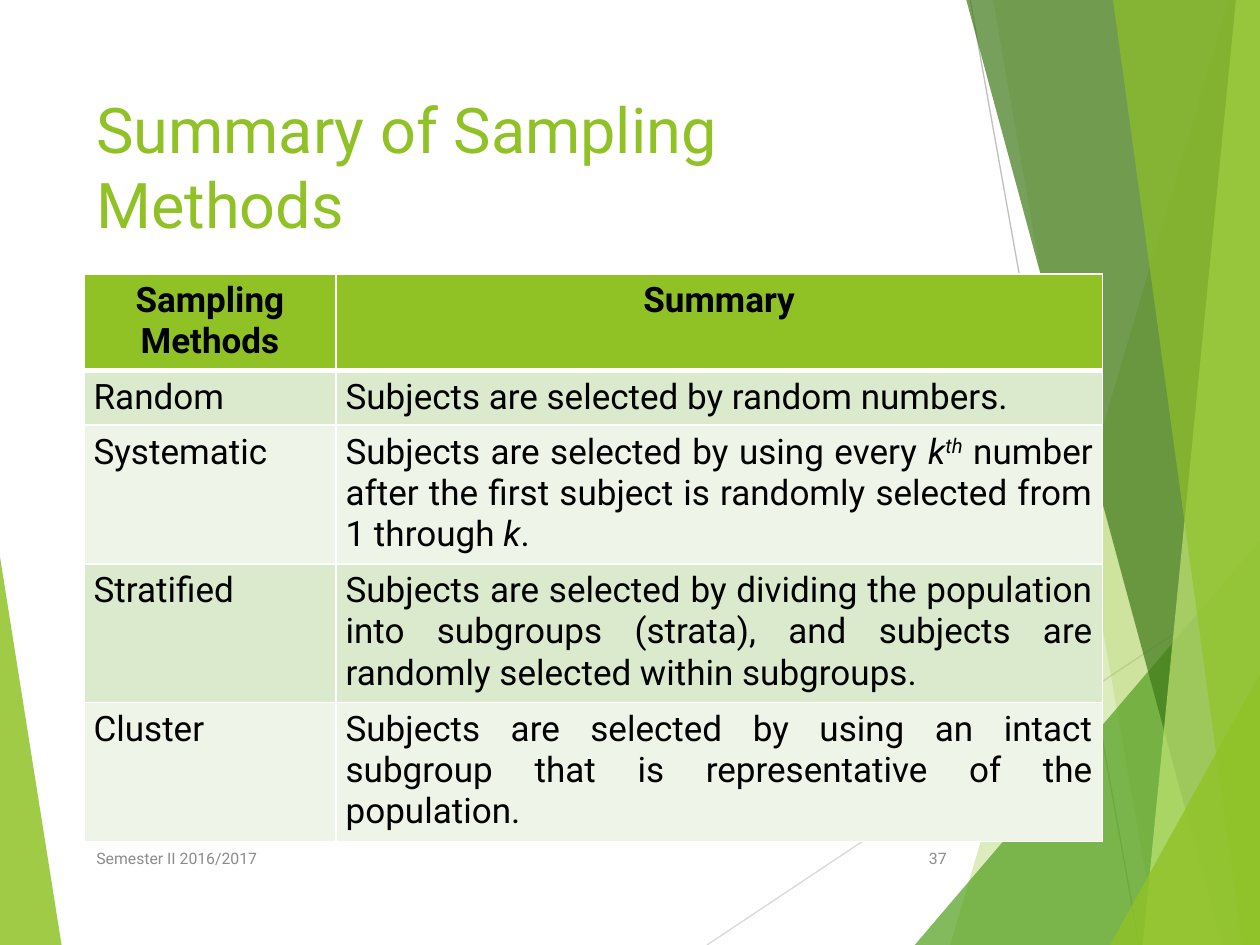
from dataclasses import dataclass
from typing import NamedTuple

from lxml import etree
from pptx import Presentation
from pptx.dml.color import RGBColor
from pptx.enum import shapes, text
from pptx.oxml import ns
from pptx.util import Pt

WIDTH, HEIGHT = 720, 540
MARGIN = 48
ALIGN = text.PP_ALIGN
ANCHOR = text.MSO_ANCHOR


@dataclass(frozen=True)
class Theme:
    font: str = "Roboto"
    title_size: int = 36
    table_size: int = 20
    footer_size: int = 9
    accent: str = "90C226"
    green: str = "54A021"
    dark_green: str = "3F7819"
    lime: str = "C0E474"
    ink: str = "000000"
    muted: str = "8C8C8C"
    border: str = "FFFFFF"
    bands: tuple[str, str] = ("DBE9CD", "EEF4E8")


THEME = Theme()


class Facet(NamedTuple):
    color: str
    opacity: int
    points: list[tuple[float, float]]


class Ray(NamedTuple):
    color: str
    start: tuple[float, float]
    end: tuple[float, float]


class Span(NamedTuple):
    words: str
    italic: bool = False
    raised: bool = False


class Method(NamedTuple):
    name: str
    summary: list[Span]
    height: float


def right_facet(color: str, opacity: int, top: float, bottom: float) -> Facet:
    """Full-height facet between a slanted edge and the right slide edge."""
    return Facet(color, opacity,
                 [(top, 0), (bottom, HEIGHT), (WIDTH, HEIGHT), (WIDTH, 0)])


def corner_facet(color: str, opacity: int, left: float, top: float) -> Facet:
    """Triangle in the lower right corner."""
    return Facet(color, opacity, [(left, HEIGHT), (WIDTH, top), (WIDTH, HEIGHT)])


BACKDROP = [
    Facet(THEME.accent, 85, [(0, 318), (35.2, HEIGHT), (0, HEIGHT)]),
    Ray("D9D9D9", (404, HEIGHT), (WIDTH, 329.4)),
    Ray("BFBFBF", (554.4, 0), (651, HEIGHT)),
    right_facet(THEME.accent, 30, 702, 543),
    right_facet(THEME.accent, 20, 567.4, 661.7),
    corner_facet(THEME.green, 72, 522.7, 308.9),
    right_facet(THEME.dark_green, 70, 552.2, 698.4),
    right_facet(THEME.lime, 70, 706.3, 653),
    right_facet(THEME.accent, 65, 636, 710),
    corner_facet(THEME.accent, 80, 634.3, 385.2),
]

HEADINGS = ("Sampling Methods", "Summary")
HEADING_HEIGHT = 53
COLUMN_WIDTHS = (144, 438)
METHODS = [
    Method("Random", [Span("Subjects are selected by random numbers.")], 31),
    Method("Systematic", [
        Span("Subjects are selected by using every "),
        Span("k", italic=True),
        Span("th", italic=True, raised=True),
        Span(" number after the first subject is randomly selected from 1 through "),
        Span("k", italic=True),
        Span("."),
    ], 78),
    Method("Stratified", [Span(
        "Subjects are selected by dividing the population into subgroups (strata), "
        "and subjects are randomly selected within subgroups.")], 78),
    Method("Cluster", [Span(
        "Subjects are selected by using an intact subgroup that is representative "
        "of the population.")], 78),
]


def write(frame, spans: list[Span], *, size: float, color: str, bold: bool = False,
          align=ALIGN.LEFT) -> None:
    paragraph = frame.paragraphs[0]
    paragraph.alignment = align
    for span in spans:
        run = paragraph.add_run()
        run.text = span.words
        font = run.font
        font.name, font.size = THEME.font, Pt(size)
        font.bold, font.italic = bold, span.italic
        font.color.rgb = RGBColor.from_string(color)
        if span.raised:
            run._r.get_or_add_rPr().set("baseline", "30000")


def add_label(slide, words: str, left: float, top: float, width: float, height: float,
              *, anchor=ANCHOR.MIDDLE, **style) -> None:
    frame = slide.shapes.add_textbox(Pt(left), Pt(top), Pt(width), Pt(height)).text_frame
    frame.word_wrap = True
    frame.vertical_anchor = anchor
    write(frame, [Span(words)], **style)


def draw_facet(slide, facet: Facet) -> None:
    first, *rest = [(Pt(x), Pt(y)) for x, y in facet.points]
    builder = slide.shapes.build_freeform(*first)
    builder.add_line_segments(rest, close=True)
    shape = builder.convert_to_shape()
    shape.shadow.inherit = False
    shape.line.fill.background()
    shape.fill.solid()
    shape.fill.fore_color.rgb = RGBColor.from_string(facet.color)
    color = shape._element.spPr.find(".//" + ns.qn("a:srgbClr"))
    etree.SubElement(color, ns.qn("a:alpha"), val=str(facet.opacity * 1000))


def draw_ray(slide, ray: Ray) -> None:
    ends = [Pt(value) for value in (*ray.start, *ray.end)]
    line = slide.shapes.add_connector(shapes.MSO_CONNECTOR.STRAIGHT, *ends)
    line.line.color.rgb = RGBColor.from_string(ray.color)
    line.line.width = Pt(0.75)
    etree.SubElement(line._element.spPr, ns.qn("a:effectLst"))


def style_cell(cell, fill: str, top: float = 1, bottom: float = 1) -> None:
    """Fill the cell and give it borders of the stated widths."""
    cell.margin_left = cell.margin_right = Pt(5.5)
    cell.margin_top = cell.margin_bottom = Pt(3.6)
    properties = cell._tc.get_or_add_tcPr()
    for side, width in (("L", 1), ("R", 1), ("T", top), ("B", bottom)):
        edge = etree.SubElement(properties, ns.qn(f"a:ln{side}"), w=str(Pt(width)))
        paint = etree.SubElement(edge, ns.qn("a:solidFill"))
        etree.SubElement(paint, ns.qn("a:srgbClr"), val=THEME.border)
    cell.fill.solid()
    cell.fill.fore_color.rgb = RGBColor.from_string(fill)


def draw_methods(slide, left: float, top: float) -> None:
    heights = [HEADING_HEIGHT, *(method.height for method in METHODS)]
    table = slide.shapes.add_table(
        len(heights), len(COLUMN_WIDTHS), Pt(left), Pt(top),
        Pt(sum(COLUMN_WIDTHS)), Pt(sum(heights))).table
    for column, width in zip(table.columns, COLUMN_WIDTHS):
        column.width = Pt(width)
    for row, height in zip(table.rows, heights):
        row.height = Pt(height)

    style = dict(size=THEME.table_size, color=THEME.ink)
    for column, heading in enumerate(HEADINGS):
        cell = table.cell(0, column)
        style_cell(cell, THEME.accent, bottom=3)
        write(cell.text_frame, [Span(heading)], bold=True, align=ALIGN.CENTER, **style)
    for row, method in enumerate(METHODS, start=1):
        for column, spans in enumerate(([Span(method.name)], method.summary)):
            cell = table.cell(row, column)
            style_cell(cell, THEME.bands[(row - 1) % 2], top=3 if row == 1 else 1)
            write(cell.text_frame, spans, align=ALIGN.JUSTIFY, **style)


def main() -> None:
    deck = Presentation()
    deck.slide_width, deck.slide_height = Pt(WIDTH), Pt(HEIGHT)
    slide = deck.slides.add_slide(deck.slide_layouts[6])
    for part in BACKDROP:
        if isinstance(part, Facet):
            draw_facet(slide, part)
        else:
            draw_ray(slide, part)
    add_label(slide, "Summary of Sampling Methods", MARGIN, 48, 500, 104,
              anchor=ANCHOR.TOP, size=THEME.title_size, color=THEME.accent)
    draw_methods(slide, MARGIN, 156.5)
    footer = dict(size=THEME.footer_size, color=THEME.muted)
    add_label(slide, "Semester II 2016/2017", MARGIN, 476, 364, 29, **footer)
    add_label(slide, "37", 507.5, 476, 40.5, 29, align=ALIGN.RIGHT, **footer)
    deck.save("out.pptx")


if __name__ == "__main__":
    main()
